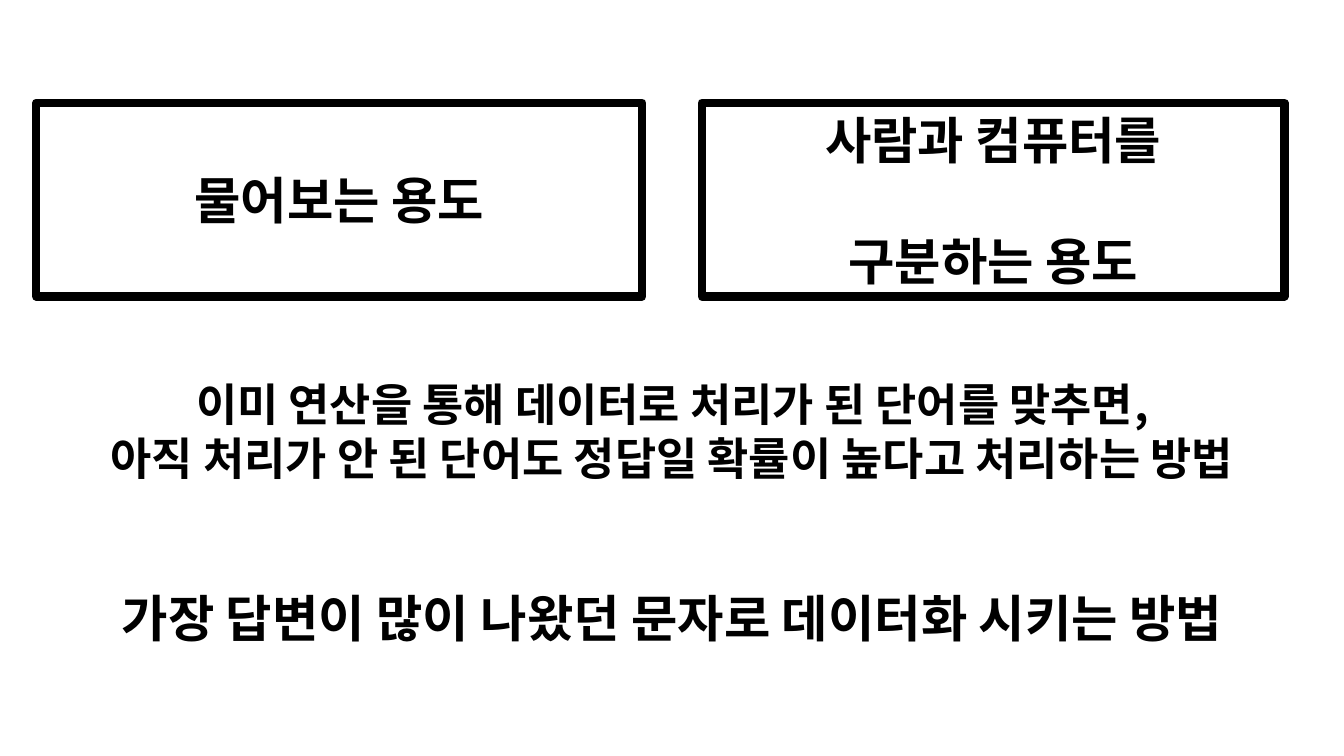
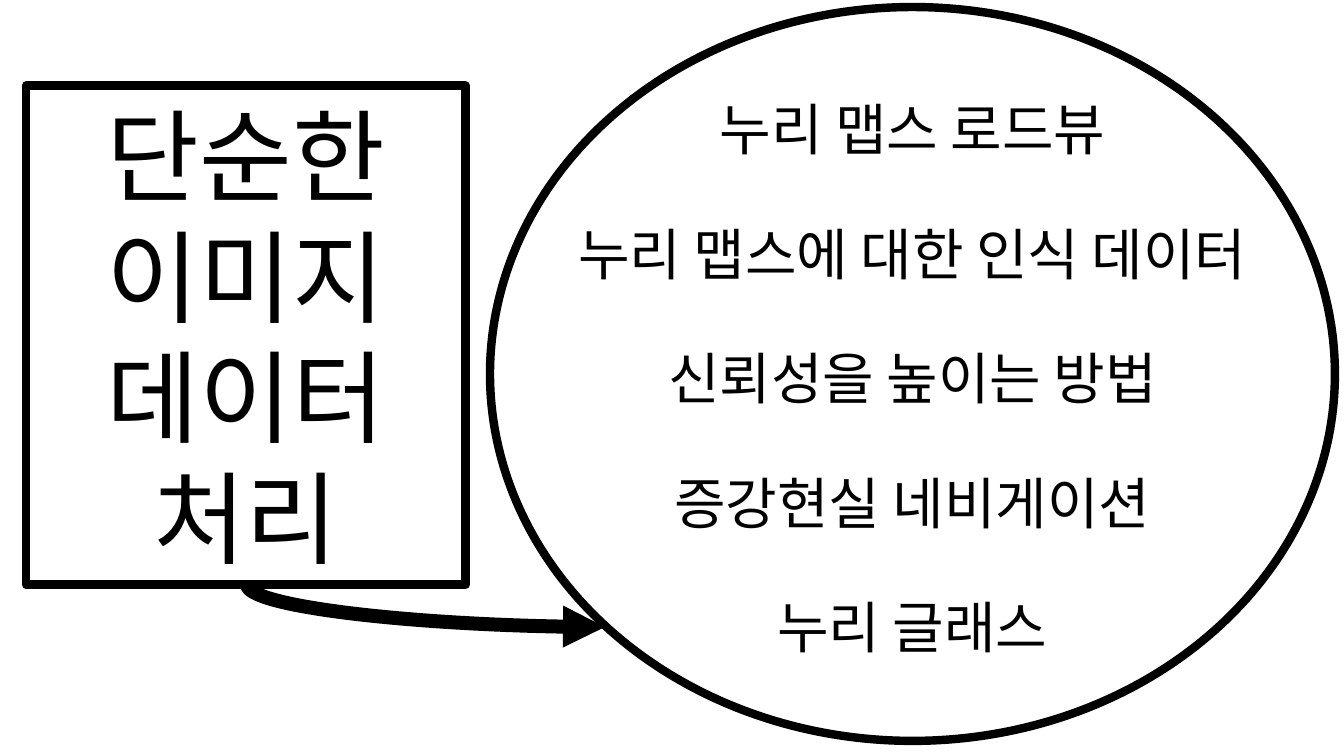
from dataclasses import dataclass

from lxml import etree
from pptx import Presentation
from pptx import util as u
from pptx.dml import color
from pptx.enum import shapes, text
from pptx.oxml import ns


@dataclass(frozen=True)
class Theme:
    """Colours, font, type sizes and line widths shared by the slides."""
    ink: color.RGBColor = color.RGBColor(0, 0, 0)
    paper: color.RGBColor = color.RGBColor(255, 255, 255)
    font: str = "Noto Sans CJK KR"
    method: int = 32
    purpose: int = 36
    label: int = 40
    headline: int = 72
    outline: int = 6
    arrow: int = 10


class Deck:
    def __init__(self, theme):
        self.theme = theme
        self.presentation = Presentation()
        self.presentation.slide_width = u.Inches(13.33)
        self.presentation.slide_height = u.Inches(7.5)
        self.slide = None

    def new_slide(self):
        self.slide = self.presentation.slides.add_slide(
            self.presentation.slide_layouts[6])

    def add_lines(self, shape, lines, size, bold=False, gap=0):
        """Put centred lines in a shape, with gap points between them."""
        frame = shape.text_frame
        frame.word_wrap = True
        frame.vertical_anchor = text.MSO_ANCHOR.MIDDLE
        for index, line in enumerate(lines):
            paragraph = frame.paragraphs[0] if index == 0 else frame.add_paragraph()
            paragraph.alignment = text.PP_ALIGN.CENTER
            if index and gap:
                paragraph.space_before = u.Pt(gap)
            run = paragraph.add_run()
            run.text = line
            run.font.size = u.Pt(size)
            run.font.bold = bold
            run.font.name = self.theme.font
            run.font.color.rgb = self.theme.ink
            # Hangul takes the East Asian typeface
            east_asian = etree.SubElement(run.font._element, ns.qn("a:ea"))
            east_asian.set("typeface", self.theme.font)

    def outline(self, kind, box, line_color=None):
        """Add a white shape with a thick outline."""
        shape = self.slide.shapes.add_shape(kind, *map(u.Inches, box))
        shape.shadow.inherit = False
        shape.fill.solid()
        shape.fill.fore_color.rgb = self.theme.paper
        shape.line.color.rgb = line_color or self.theme.ink
        shape.line.width = u.Pt(self.theme.outline)
        return shape

    def panel(self, box, lines, size, line_color=None, bold=True, gap=0):
        shape = self.outline(shapes.MSO_SHAPE.RECTANGLE, box, line_color)
        self.add_lines(shape, lines, size, bold, gap)

    def label(self, box, line):
        shape = self.slide.shapes.add_textbox(*map(u.Inches, box))
        self.add_lines(shape, [line], self.theme.label)

    def curved_arrow(self, start, end):
        """Leave start downwards and reach end from the left."""
        center_x, center_y = (start[0] + end[0]) / 2, (start[1] + end[1]) / 2
        half_width, half_height = (end[1] - start[1]) / 2, (end[0] - start[0]) / 2
        # The frame is mirrored and then turned by three quarters
        corners = (center_x + half_width, center_y - half_height,
                   center_x - half_width, center_y + half_height)
        connector = self.slide.shapes.add_connector(
            shapes.MSO_CONNECTOR.CURVE, *map(u.Inches, corners))
        connector.line.color.rgb = self.theme.ink
        connector.line.width = u.Pt(self.theme.arrow)
        properties = connector._element.spPr
        properties.find(ns.qn("a:xfrm")).set("rot", str(270 * 60000))
        properties.find(ns.qn("a:prstGeom")).set("prst", "curvedConnector2")
        head = etree.SubElement(properties.find(ns.qn("a:ln")), ns.qn("a:tailEnd"))
        head.set("type", "triangle")
        etree.SubElement(properties, ns.qn("a:effectLst"))


def build_purposes(deck):
    theme = deck.theme
    deck.new_slide()

    # Two purposes side by side
    deck.panel((6.96, 1.02, 5.78, 1.92), ["사람과 컴퓨터를", "구분하는 용도"],
               theme.purpose, gap=43.2)
    deck.panel((0.36, 1.02, 6.01, 1.92), ["물어보는 용도"], theme.purpose)

    # Methods below
    deck.panel((0.43, 5.77, 12.47, 0.71),
               ["가장 답변이 많이 나왔던 문자로 데이터화 시키는 방법"],
               theme.purpose, theme.paper)
    deck.panel((0.14, 3.68, 13.06, 1.18),
               ["이미 연산을 통해 데이터로 처리가 된 단어를 맞추면,",
                "아직 처리가 안 된 단어도 정답일 확률이 높다고 처리하는 방법"],
               theme.method, theme.paper)


def build_applications(deck):
    theme = deck.theme
    deck.new_slide()

    # Applications in the ellipse, evenly spaced around one axis
    deck.outline(shapes.MSO_SHAPE.OVAL, (4.86, 0.07, 8.38, 7.28))
    axis, top, bottom = 9.05, 0.89, 5.83
    applications = [("누리 맵스 로드뷰", 6), ("누리 맵스에 대한 인식 데이터", 7.81),
                    ("신뢰성을 높이는 방법", 6.95), ("증강현실 네비게이션", 6.49),
                    ("누리 글래스", 6.09)]
    step = (bottom - top) / (len(applications) - 1)
    for row, (line, width) in enumerate(applications):
        deck.label((axis - width / 2, top + row * step, width, 0.77), line)

    # Starting point and the arrow to the ellipse
    deck.panel((0.26, 0.85, 4.36, 4.95), ["단순한", "이미지", "데이터", "처리"],
               theme.headline, bold=False)
    deck.curved_arrow((2.45, 5.8), (6, 6.22))


def main():
    deck = Deck(Theme())
    build_purposes(deck)
    build_applications(deck)
    deck.presentation.save("out.pptx")


if __name__ == "__main__":
    main()
